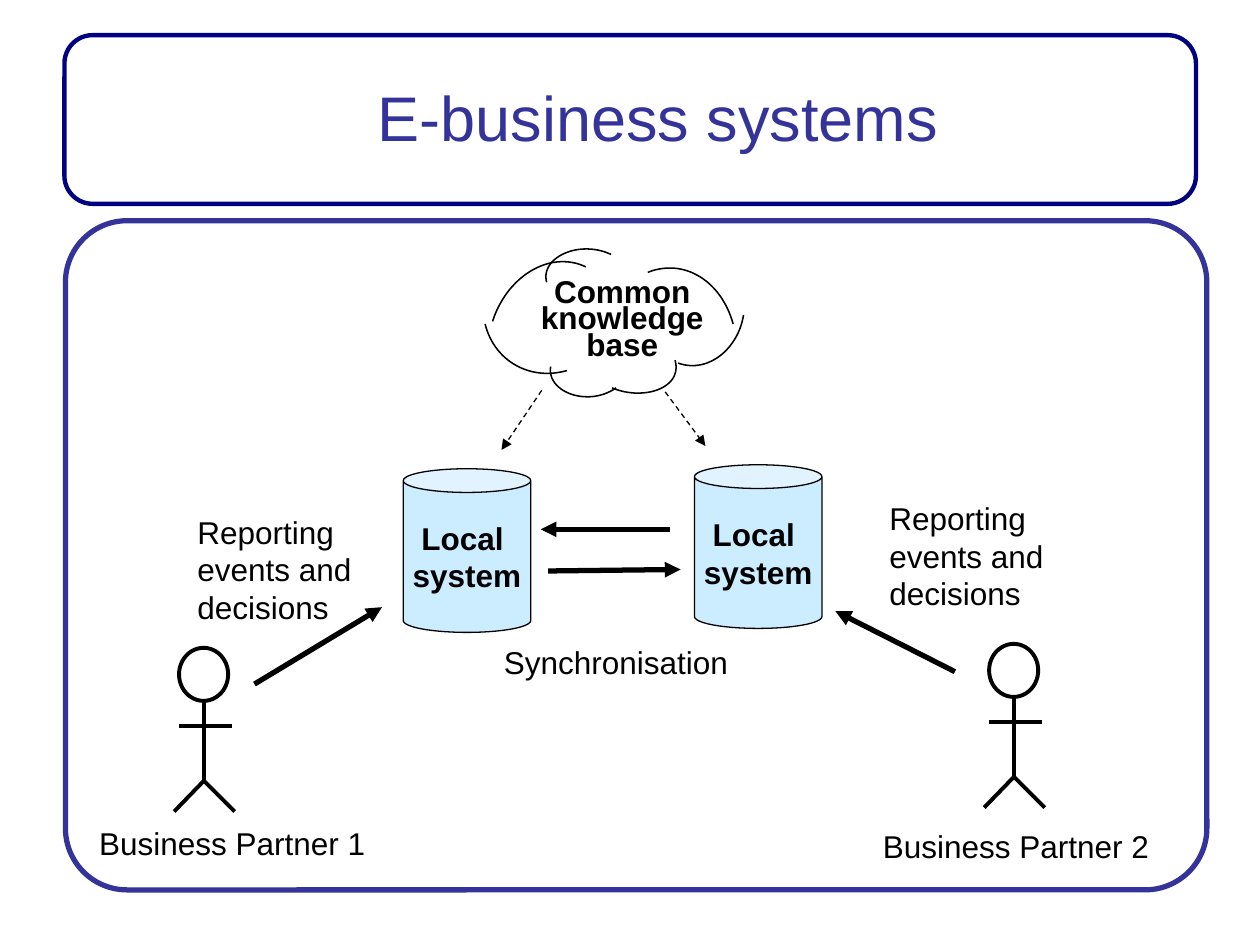
import pptx
import pptx.util
import pptx.dml.color
import pptx.enum.dml
import pptx.enum.shapes
import pptx.enum.text
import pptx.oxml.ns
from lxml import etree

Cm, Pt = pptx.util.Cm, pptx.util.Pt
RGB = pptx.dml.color.RGBColor
Shape = pptx.enum.shapes.MSO_SHAPE
Align = pptx.enum.text.PP_ALIGN
Anchor = pptx.enum.text.MSO_ANCHOR
Fit = pptx.enum.text.MSO_AUTO_SIZE
qn = pptx.oxml.ns.qn

BLACK = RGB(0, 0, 0)
WHITE = RGB(255, 255, 255)
NAVY = RGB(0x00, 0x00, 0x80)
INDIGO = RGB(0x33, 0x33, 0x99)
SKY = RGB(0xCC, 0xEC, 0xFF)

# Four points on each arc of the cloud, evenly spaced along it.
CLOUD = [
    [(9.93, 6.48), (10.39, 5.71), (11.07, 5.31), (11.81, 5.38)],
    [(11.02, 5.69), (11.15, 5.26), (11.66, 5.03), (12.32, 5.13)],
    [(13.06, 5.49), (13.79, 5.44), (14.4, 5.82), (14.78, 6.53)],
    [(11.43, 7.47), (10.72, 7.49), (10.13, 7.16), (9.78, 6.53)],
    [(12.42, 7.82), (11.81, 8), (11.28, 7.82), (11.1, 7.39)],
    [(14.99, 6.35), (14.73, 6.96), (14.25, 7.32), (13.67, 7.32)],
    [(13.61, 7.26), (13.49, 7.72), (12.98, 7.92), (12.34, 7.82)],
]


def curve(knots, steps=30):
    """Sample the cubic that passes through four evenly spaced knots."""
    for step in range(steps + 1):
        t = 3 * step / steps
        weights = (
            -(t - 1) * (t - 2) * (t - 3) / 6,
            t * (t - 2) * (t - 3) / 2,
            -t * (t - 1) * (t - 3) / 2,
            t * (t - 1) * (t - 2) / 6,
        )
        yield tuple(
            Cm(sum(w * v for w, v in zip(weights, axis))) for axis in zip(*knots)
        )


class Page:
    font = "Arial"
    size = 18

    def __init__(self, deck):
        self.slide = deck.slides.add_slide(deck.slide_layouts[5])
        self.shapes = self.slide.shapes

    def fill_text(self, frame, text, align=Align.LEFT, size=size, color=BLACK, bold=False):
        frame.text = text
        for para in frame.paragraphs:
            para.alignment = align
            for run in para.runs:
                run.font.name = self.font
                run.font.size = Pt(size)
                run.font.bold = bold
                run.font.color.rgb = color

    def title(self, text, left, top, width, height):
        title = self.shapes.title
        title.left, title.top = Cm(left), Cm(top)
        title.width, title.height = Cm(width), Cm(height)
        title.text_frame.vertical_anchor = Anchor.MIDDLE
        self.fill_text(title.text_frame, text, Align.CENTER, 36, INDIGO)
        self.shapes._spTree.append(title._element)  # in front of the panels

    def shape(self, kind, left, top, width, height, weight, line=BLACK, fill=None, adj=None):
        shape = self.shapes.add_shape(kind, Cm(left), Cm(top), Cm(width), Cm(height))
        shape.shadow.inherit = False
        if adj is not None:
            shape.adjustments[0] = adj
        if fill is None:
            shape.fill.background()
        else:
            shape.fill.solid()
            shape.fill.fore_color.rgb = fill
        shape.line.color.rgb = line
        shape.line.width = Pt(weight)
        return shape

    def panel(self, left, top, width, height, weight, line, adj):
        self.shape(Shape.ROUNDED_RECTANGLE, left, top, width, height, weight, line, WHITE, adj)

    def store(self, text, left, top):
        can = self.shape(Shape.CAN, left, top, 2.57, 3.3, 0.75, fill=SKY, adj=0.186)
        can.text_frame.word_wrap = False
        can.text_frame.vertical_anchor = Anchor.MIDDLE
        self.fill_text(can.text_frame, text, Align.CENTER, bold=True)

    def line(self, x1, y1, x2, y2, weight, head=False, dash=False):
        line = self.shapes.add_connector(
            pptx.enum.shapes.MSO_CONNECTOR.STRAIGHT, Cm(x1), Cm(y1), Cm(x2), Cm(y2)
        )
        line.line.color.rgb = BLACK
        line.line.width = Pt(weight)
        if dash:
            line.line.dash_style = pptx.enum.dml.MSO_LINE.DASH
        props = line._element.spPr
        if head:
            etree.SubElement(props.find(qn("a:ln")), qn("a:tailEnd"), type="triangle")
        etree.SubElement(props, qn("a:effectLst"))

    def actor(self, left, top):
        """Draw a stick figure; left and top belong to its head."""
        self.shape(Shape.OVAL, left, top, 0.99, 1.07, 2.25)
        mid, hip = 0.5, 2.68
        limbs = [
            (mid, 1.07, mid, hip),
            (0, 1.57, 1.06, 1.57),
            (mid, hip, -0.1, 3.3),
            (mid, hip, 1.12, 3.3),
        ]
        for x1, y1, x2, y2 in limbs:
            self.line(left + x1, top + y1, left + x2, top + y2, 2.25)

    def label(self, text, left, top, width, height, wrap=False, **style):
        box = self.shapes.add_textbox(Cm(left), Cm(top), Cm(width), Cm(height))
        frame = box.text_frame
        frame.word_wrap = wrap
        frame.auto_size = Fit.SHAPE_TO_FIT_TEXT
        self.fill_text(frame, text, **style)
        return frame

    def cloud(self, text):
        for knots in CLOUD:
            first, *rest = curve(knots)
            pen = self.shapes.build_freeform(*first)
            pen.add_line_segments(rest, close=False)
            arc = pen.convert_to_shape()
            arc.shadow.inherit = False
            arc.fill.background()
            arc.line.color.rgb = BLACK
            arc.line.width = Pt(0.88)
        frame = self.label(
            text, 10.36, 5.56, 4.37, 1.85, wrap=True, align=Align.CENTER, bold=True
        )
        frame.paragraphs[0].line_spacing = 0.7


def main():
    deck = pptx.Presentation()
    deck.slide_width, deck.slide_height = Cm(25.4), Cm(19.05)
    page = Page(deck)

    page.panel(1.3, 0.71, 22.81, 3.4, 2.5, NAVY, 0.167)
    page.panel(1.32, 4.45, 23.01, 13.49, 3, INDIGO, 0.092)
    page.title("E-business systems", 5.36, 0.76, 15.8, 3.18)

    page.actor(3.61, 13.06)
    page.actor(19.94, 12.98)
    for left, top in [(14, 9.37), (8.13, 9.45)]:
        page.store("Local \nsystem", left, top)

    arrows = [
        (13.51, 10.67, 10.9, 10.67),
        (11.05, 11.51, 13.72, 11.48),
        (5.13, 13.79, 7.7, 12.24),
        (19.25, 13.54, 16.84, 12.32),
    ]
    for ends in arrows:
        page.line(*ends, 3, head=True)

    for left, top in [(3.73, 10.21), (17.68, 9.93)]:
        page.label("Reporting\nevents and\ndecisions", left, top, 3.78, 2.54)
    page.label("Synchronisation", 9.91, 12.83, 5.03, 1.02)
    page.label("Business Partner 1", 1.75, 16.48, 5.87, 1.02)
    page.label("Business Partner 2", 17.55, 16.54, 5.87, 1.02)

    page.cloud("Common knowledge base")
    for ends in [(10.92, 7.87, 10.11, 9.07), (13.41, 7.9, 14.22, 8.99)]:
        page.line(*ends, 0.75, head=True, dash=True)

    deck.save("out.pptx")


if __name__ == "__main__":
    main()
